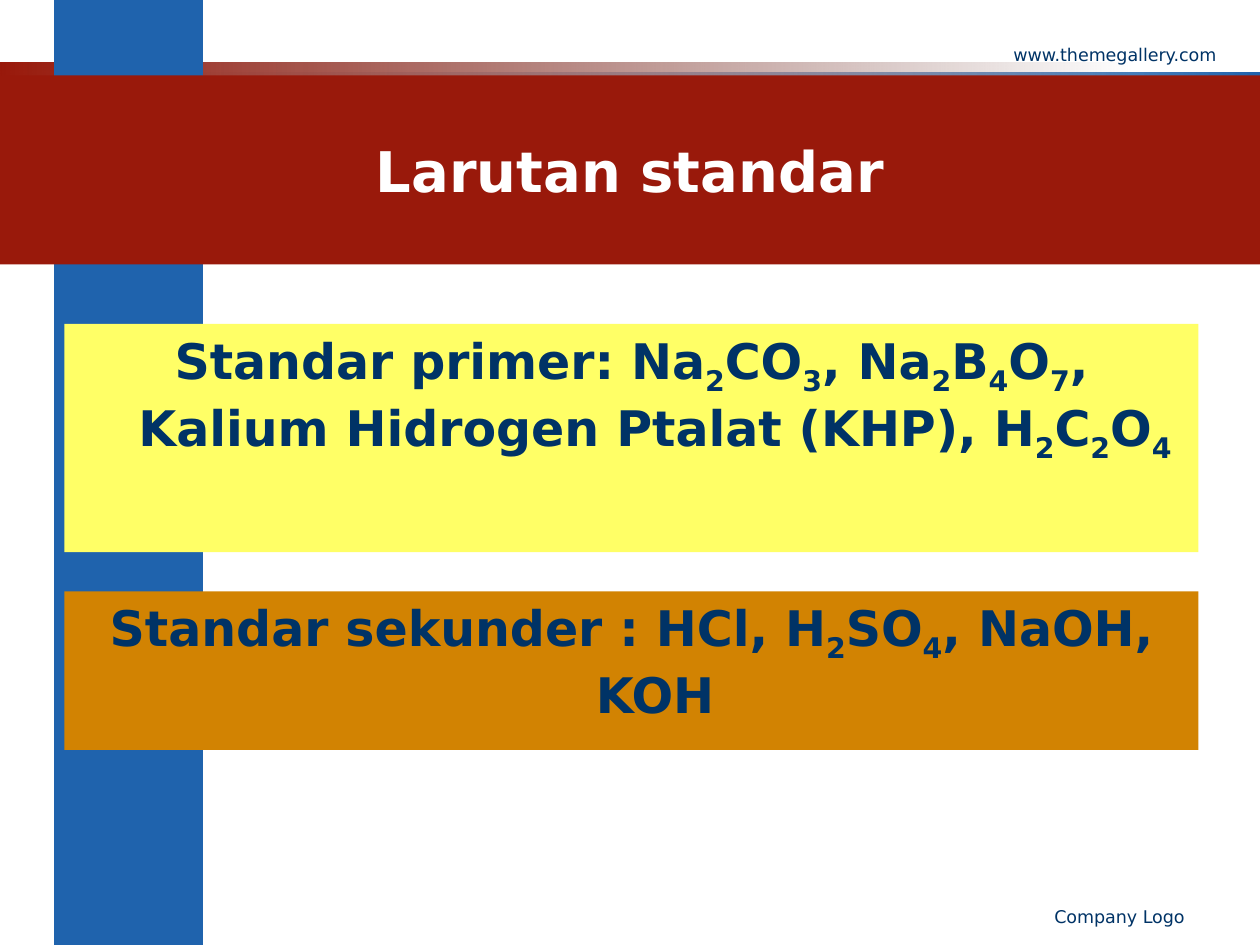
from lxml import etree
from pptx import Presentation
from pptx.dml.color import RGBColor
from pptx.enum import shapes, text
from pptx.oxml import ns
from pptx.util import Cm, Pt

FONT = "DejaVu Sans"
WHITE = RGBColor(0xFF, 0xFF, 0xFF)
NAVY = RGBColor(0x00, 0x33, 0x66)
BLUE = RGBColor(0x1F, 0x63, 0xAD)
PALE_BLUE = RGBColor(0xE3, 0xEB, 0xF5)
RED = RGBColor(0x99, 0x19, 0x0B)
DARK_RED = RGBColor(0x47, 0x0C, 0x05)
YELLOW = RGBColor(0xFF, 0xFF, 0x66)
ORANGE = RGBColor(0xD2, 0x83, 0x02)

# Content: boxes are left, top, width, height in cm; "_" lowers the next character
TITLE = "Larutan standar"
TITLE_BOX = (0, 1.52, 25.4, 3.81)
SIDE_BAND = (1.09, 0, 3, 19.05)
FADING_BANDS = [  # box, (colour, opacity in %) at left and right
    ((0, 1.47, 25.4, 1.9), [(PALE_BLUE, 0), (BLUE, 100)]),
    ((0, 1.27, 22.86, 1.9), [(RED, 100), (DARK_RED, 0)]),
]
CAPTIONS = [
    ("www.themegallery.com", (18.85, 0.76, 5.92, 0.69)),
    ("Company Logo", (16.08, 18.14, 8.05, 0.76)),
]
STANDARDS = [
    ("Standar primer: Na_2CO_3, Na_2B_4O_7, Kalium Hidrogen Ptalat (KHP), H_2C_2O_4",
     (1.3, 6.53, 22.86, 4.6), YELLOW),
    ("Standar sekunder : HCl, H_2SO_4, NaOH, KOH",
     (1.3, 11.92, 22.86, 3.2), ORANGE),
]


def lengths(box):
    return [Cm(value) for value in box]


def add_band(slide, box, colour=None):
    band = slide.shapes.add_shape(shapes.MSO_SHAPE.RECTANGLE, *lengths(box))
    band.shadow.inherit = False
    band.line.fill.background()
    if colour is not None:
        band.fill.solid()
        band.fill.fore_color.rgb = colour
    return band


def fade(band, ends):
    band.fill.gradient()
    band.fill.gradient_angle = 0
    for stop, (colour, opacity) in zip(band.fill.gradient_stops, ends):
        stop.color.rgb = colour
    colours = band._element.spPr.iter(ns.qn("a:srgbClr"))
    for element, (colour, opacity) in zip(list(colours), ends):
        etree.SubElement(element, ns.qn("a:alpha"), val=str(opacity * 1000))


def style(font, size, colour, bold=False):
    font.name, font.size, font.bold = FONT, Pt(size), bold
    font.color.rgb = colour


def write_formulas(paragraph, wording):
    first, *rest = wording.split("_")
    pieces = [(first, False)]
    for part in rest:
        pieces += [(part[0], True), (part[1:], False)]
    for piece, lowered in pieces:
        if piece:
            run = paragraph.add_run()
            run.text = piece
            style(run.font, 28, NAVY, bold=True)
            if lowered:
                run._r.get_or_add_rPr().set("baseline", "-25000")


def main():
    prs = Presentation()
    prs.slide_width, prs.slide_height = Cm(25.4), Cm(19.05)
    slide = prs.slides.add_slide(prs.slide_layouts[5])

    # Background bands
    for box, ends in FADING_BANDS:
        fade(add_band(slide, box), ends)

    # Captions at top and bottom right
    for wording, box in CAPTIONS:
        frame = slide.shapes.add_textbox(*lengths(box)).text_frame
        frame.word_wrap = True
        frame.text = wording
        frame.paragraphs[0].alignment = text.PP_ALIGN.RIGHT
        style(frame.paragraphs[0].runs[0].font, 10, NAVY)

    add_band(slide, SIDE_BAND, BLUE)

    # Title, raised above the bands
    title = slide.shapes.title
    slide.shapes._spTree.append(title._element)
    title.left, title.top, title.width, title.height = lengths(TITLE_BOX)
    title.fill.solid()
    title.fill.fore_color.rgb = RED
    title.text_frame.text = TITLE
    title.text_frame.vertical_anchor = text.MSO_ANCHOR.MIDDLE
    heading = title.text_frame.paragraphs[0]
    heading.alignment = text.PP_ALIGN.CENTER
    style(heading.runs[0].font, 32, WHITE, bold=True)

    # Primary and secondary standards
    for wording, box, colour in STANDARDS:
        frame = add_band(slide, box, colour).text_frame
        frame.word_wrap = True
        frame.vertical_anchor = text.MSO_ANCHOR.TOP
        paragraph = frame.paragraphs[0]
        paragraph.alignment = text.PP_ALIGN.CENTER
        hanging = paragraph._p.get_or_add_pPr()
        hanging.set("marL", str(Cm(0.95)))
        hanging.set("indent", str(-Cm(0.95)))
        write_formulas(paragraph, wording)

    prs.save("out.pptx")


if __name__ == "__main__":
    main()
